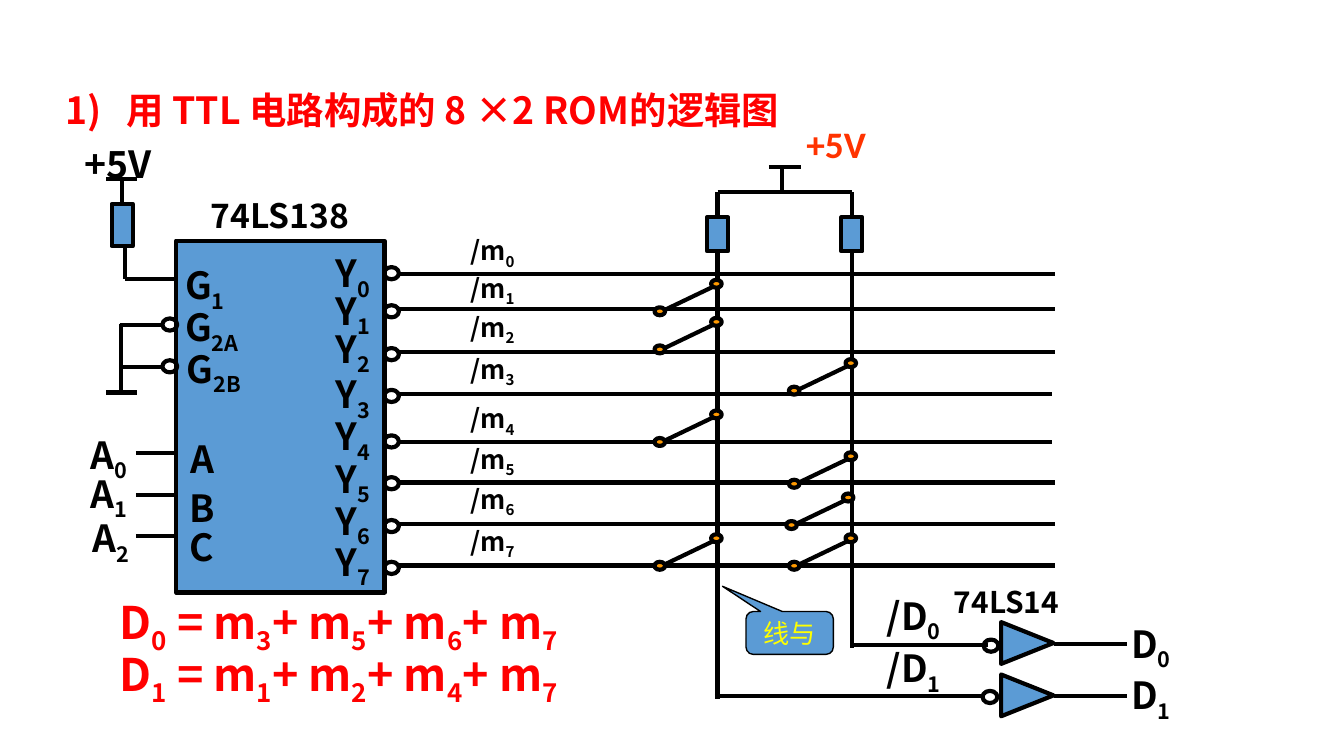
from dataclasses import dataclass
from typing import Any, Optional

import lxml.etree
import pptx
import pptx.dml.color
import pptx.enum.shapes
import pptx.enum.text
import pptx.oxml.ns
import pptx.util

Cm = pptx.util.Cm
Pt = pptx.util.Pt
RGBColor = pptx.dml.color.RGBColor
Kind = pptx.enum.shapes.MSO_SHAPE
Align = pptx.enum.text.PP_ALIGN
Anchor = pptx.enum.text.MSO_ANCHOR

BLACK = RGBColor(0x00, 0x00, 0x00)
RED = RGBColor(0xFF, 0x00, 0x00)
VERMILION = RGBColor(0xFF, 0x33, 0x00)
BLUE = RGBColor(0x5B, 0x9B, 0xD5)
ORANGE = RGBColor(0xFF, 0x99, 0x00)
YELLOW = RGBColor(0xFF, 0xFF, 0x00)
FONT = "Noto Sans CJK JP"
TOP, BOTTOM = 0, 2


@dataclass
class Label:
    text: str
    left: float
    top: float
    width: float = 1.78
    height: float = 1.09
    size: int = 20
    color: RGBColor = BLACK
    font: str = FONT


@dataclass
class Wire:
    x1: float
    y1: float
    x2: float
    y2: float


@dataclass
class Output:
    bubble_top: float
    wire_y: float
    wire_end: float
    minterm_top: float
    pin_top: float


@dataclass
class Switch:
    x: float
    y: float


@dataclass
class Column:
    x: float
    bottom: float


@dataclass
class Inverter:
    bubble_left: float
    bubble_top: float
    gate_top: float
    wire: Wire
    output_y: float
    input_label_top: float
    output_label_top: float


OUTPUTS = [
    Output(5.05, 5.18, 19.94, 4.34, 4.67),
    Output(5.77, 5.84, 19.94, 5.05, 5.38),
    Output(6.58, 6.65, 19.94, 5.79, 6.1),
    Output(7.37, 7.44, 19.89, 6.58, 6.96),
    Output(8.23, 8.36, 19.89, 7.52, 7.75),
    Output(9.02, 9.12, 19.94, 8.28, 8.56),
    Output(9.83, 9.91, 19.94, 9.04, 9.35),
    Output(10.62, 10.69, 19.94, 9.83, 10.13),
]
COLUMNS = [Column(13.56, 13.21), Column(16.1, 12.24)]
SWITCHES = [
    Switch(13.56, 5.38), Switch(13.56, 6.1), Switch(13.56, 7.85), Switch(13.56, 10.19),
    Switch(16.1, 6.88), Switch(16.1, 8.64), Switch(16.05, 9.42), Switch(16.1, 10.19),
]
INVERTERS = [
    Inverter(18.59, 12.09, 11.66, Wire(16.1, 12.19, 18.67, 12.19), 12.17, 11.15, 11.68),
    Inverter(18.57, 13.06, 12.65, Wire(13.51, 13.16, 18.62, 13.16), 13.16, 12.14, 12.65),
]
WIRES = [
    Wire(13.56, 3.63, 16.1, 3.63), Wire(14.78, 3.15, 14.78, 3.63),
    Wire(14.53, 3.15, 15.14, 3.15),
    Wire(2.36, 5.28, 3.33, 5.28), Wire(2.36, 4.65, 2.36, 5.28),
    Wire(2.01, 3.38, 2.59, 3.38),
    Wire(2.26, 6.15, 3.05, 6.15), Wire(2.29, 6.93, 3.07, 6.93),
    Wire(2.29, 6.12, 2.29, 7.39), Wire(2.01, 7.42, 2.59, 7.42),
] + [Wire(2.57, y, 3.33, y) for y in (8.56, 9.35, 10.13)]
LABELS = [
    Label("+5V", 14.99, 2.16, 2.11, 1.12, color=VERMILION, font="Calibri"),
    Label("+5V", 1.35, 2.54, 1.96),
    Label("74LS138", 3.73, 3.56, 3.43, 1.02, 18),
    Label("74LS14", 17.78, 10.9, 2.95, 0.94, 16),
    Label("G_1", 3.25, 4.9), Label("G_2A", 3.25, 5.69), Label("G_2B", 3.28, 6.48),
    Label("A", 3.35, 8.13, 0.99), Label("B", 3.33, 9.04, 0.99), Label("C", 3.33, 9.78, 0.99),
    Label("A_0", 1.47, 8.1), Label("A_1", 1.47, 8.84), Label("A_2", 1.5, 9.68),
    Label("D_0_ = m_3_+ m_5_+ m_6_+ m_7", 2.01, 11.18, 11.63, 1.27, 24, RED),
    Label("D_1_ = m_1_+ m_2_+ m_4_+ m_7", 2.01, 12.17, 11.63, 1.27, 24, RED),
]


def style_font(font: Any, name: str, size: int, color: RGBColor, bold: bool = True) -> None:
    font.name, font.size, font.bold = name, Pt(size), bold
    font.color.rgb = color
    properties = font._element
    for old in properties.findall(pptx.oxml.ns.qn("a:ea")):
        properties.remove(old)
    east_asian = lxml.etree.Element(pptx.oxml.ns.qn("a:ea"), typeface=name)
    properties.find(pptx.oxml.ns.qn("a:latin")).addnext(east_asian)


def draw_label(page: Any, label: Label) -> None:
    box = page.shapes.add_textbox(Cm(label.left), Cm(label.top), Cm(label.width), Cm(label.height))
    frame = box.text_frame
    frame.word_wrap = True
    frame.vertical_anchor = Anchor.MIDDLE
    frame.margin_top = frame.margin_bottom = 0
    para = frame.paragraphs[0]
    for index, part in enumerate(label.text.split("_")):
        span = para.add_run()
        span.text = part
        style_font(span.font, label.font, label.size, label.color)
        if index % 2:
            span.font._element.set("baseline", "-25000")


def draw_shape(page: Any, kind: Any, left: float, top: float, width: float, height: float,
               fill: Optional[RGBColor] = BLUE, weight: float = 2.25) -> Any:
    shape = page.shapes.add_shape(kind, Cm(left), Cm(top), Cm(width), Cm(height))
    shape.shadow.inherit = False
    if fill is None:
        shape.fill.background()
    else:
        shape.fill.solid()
        shape.fill.fore_color.rgb = fill
    shape.line.color.rgb = BLACK
    shape.line.width = Pt(weight)
    return shape


def draw_wire(page: Any, wire: Wire) -> Any:
    line = page.shapes.add_connector(pptx.enum.shapes.MSO_CONNECTOR.STRAIGHT,
                                     Cm(wire.x1), Cm(wire.y1), Cm(wire.x2), Cm(wire.y2))
    line.line.color.rgb = BLACK
    line.line.width = Pt(2.25)
    lxml.etree.SubElement(line._element.spPr, pptx.oxml.ns.qn("a:effectLst"))
    return line


def draw_bubble(page: Any, left: float, top: float) -> None:
    draw_shape(page, Kind.OVAL, left, top, 0.28, 0.23, None)


def draw_output(page: Any, number: int, output: Output) -> None:
    draw_bubble(page, 7.26, output.bubble_top)
    draw_wire(page, Wire(7.55, output.wire_y, output.wire_end, output.wire_y))
    draw_label(page, Label(f"/m_{number}", 8.64, output.minterm_top, 3.35, 0.86, 14))
    draw_label(page, Label(f"Y_{number}", 6.1, output.pin_top))


def draw_column(page: Any, column: Column) -> None:
    resistor = draw_shape(page, Kind.RECTANGLE, column.x - 0.2, 4.11, 0.4, 0.64)
    draw_wire(page, Wire(column.x, 3.63, column.x, 4.11)).end_connect(resistor, TOP)
    draw_wire(page, Wire(column.x, 4.75, column.x, column.bottom)).begin_connect(resistor, BOTTOM)


def draw_switch(page: Any, switch: Switch) -> None:
    draw_wire(page, Wire(switch.x, switch.y, switch.x - 0.98, switch.y + 0.47))
    for across, down in ((-0.12, -0.09), (-1.19, 0.43)):
        draw_shape(page, Kind.OVAL, switch.x + across, switch.y + down, 0.2, 0.15, ORANGE)


def draw_inverter(page: Any, number: int, inverter: Inverter) -> None:
    draw_wire(page, inverter.wire)
    gate = draw_shape(page, Kind.FLOWCHART_EXTRACT, 19.02, inverter.gate_top, 0.79, 0.99)
    gate.rotation = 90
    draw_bubble(page, inverter.bubble_left, inverter.bubble_top)
    draw_wire(page, Wire(19.91, inverter.output_y, 21.29, inverter.output_y))
    draw_label(page, Label(f"/D_{number}", 16.51, inverter.input_label_top))
    draw_label(page, Label(f"D_{number}", 21.13, inverter.output_label_top))


def draw_title(page: Any) -> None:
    title = page.shapes.title
    title.left, title.top, title.width, title.height = Cm(0.99), Cm(1.52), Cm(21.29), Cm(1.12)
    frame = title.text_frame
    frame.vertical_anchor = Anchor.MIDDLE
    frame.margin_top = frame.margin_bottom = 0
    para = frame.paragraphs[0]
    para.text = "1)\t用 TTL 电路构成的 8 ×2 ROM的逻辑图"
    para.alignment = Align.LEFT
    properties = para._p.get_or_add_pPr()
    properties.set("marL", str(Cm(1.15)))
    properties.set("indent", str(-Cm(1.15)))
    style_font(para.runs[0].font, FONT, 20, RED)


def draw_callout(page: Any) -> None:
    callout = draw_shape(page, Kind.ROUNDED_RECTANGULAR_CALLOUT, 14.1, 11.56, 1.65, 0.81, weight=0.75)
    for index, value in enumerate((-0.77, -1.09, 0.17)):
        callout.adjustments[index] = value
    frame = callout.text_frame
    frame.margin_top = frame.margin_bottom = 0
    frame.vertical_anchor = Anchor.MIDDLE
    para = frame.paragraphs[0]
    para.text = "线与"
    para.alignment = Align.CENTER
    style_font(para.runs[0].font, FONT, 14, YELLOW, False)


def main() -> None:
    deck = pptx.Presentation()
    deck.slide_width, deck.slide_height = Cm(25.4), Cm(14.29)
    page = deck.slides.add_slide(deck.slide_layouts[5])
    draw_title(page)
    draw_shape(page, Kind.RECTANGLE, 3.33, 4.55, 3.94, 6.65)
    for number, output in enumerate(OUTPUTS):
        draw_output(page, number, output)
    for column in COLUMNS:
        draw_column(page, column)
    for wire in WIRES:
        draw_wire(page, wire)
    pull_up = draw_shape(page, Kind.RECTANGLE, 2.11, 3.86, 0.4, 0.79)
    draw_wire(page, Wire(2.31, 3.38, 2.31, 3.86)).end_connect(pull_up, TOP)
    for top in (6.02, 6.81):
        draw_bubble(page, 3.07, top)
    for number, inverter in enumerate(INVERTERS):
        draw_inverter(page, number, inverter)
    for switch in SWITCHES:
        draw_switch(page, switch)
    for label in LABELS:
        draw_label(page, label)
    draw_callout(page)
    deck.save("out.pptx")


if __name__ == "__main__":
    main()
